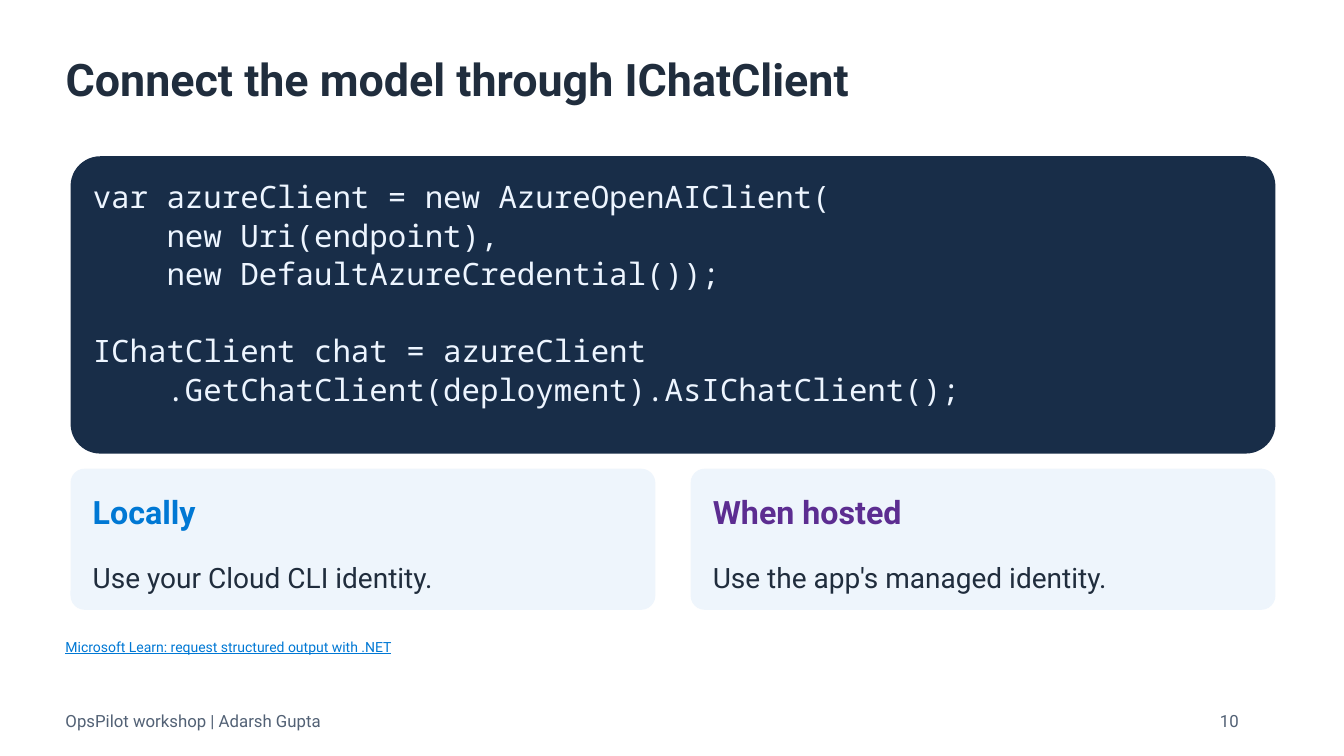
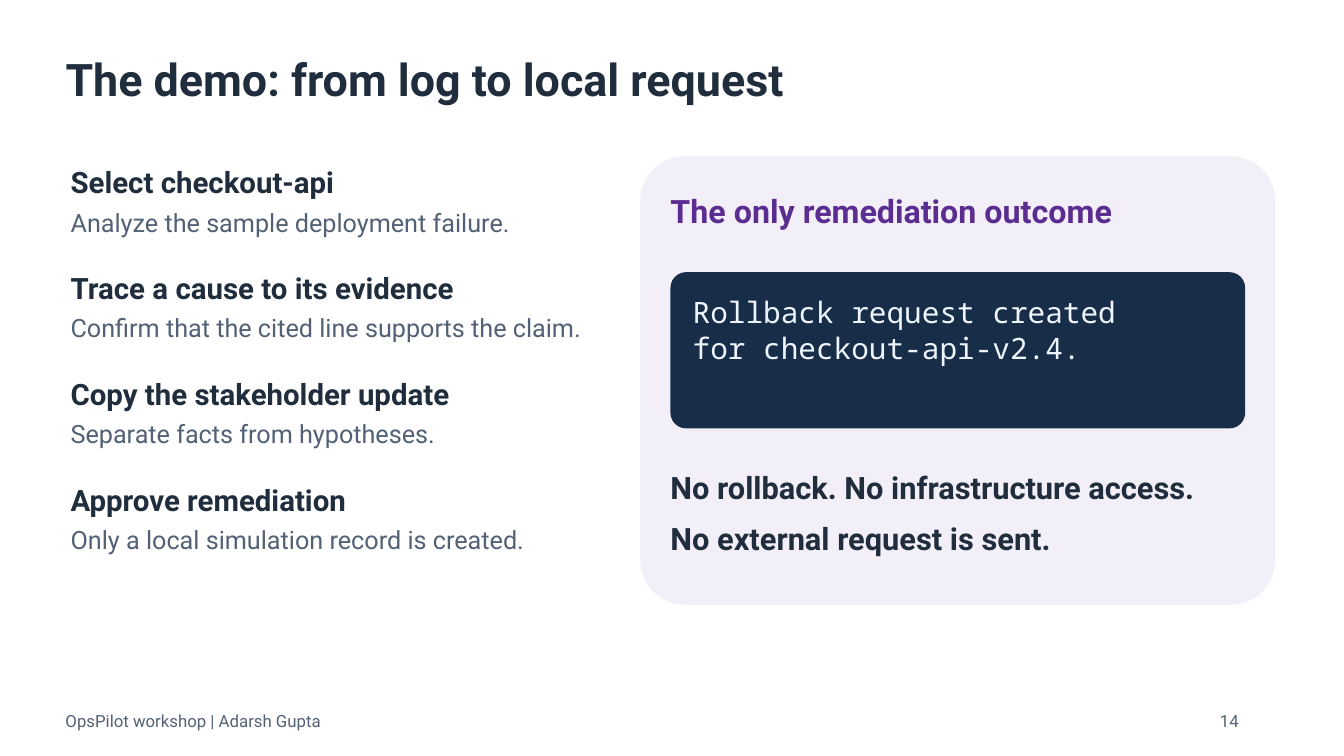
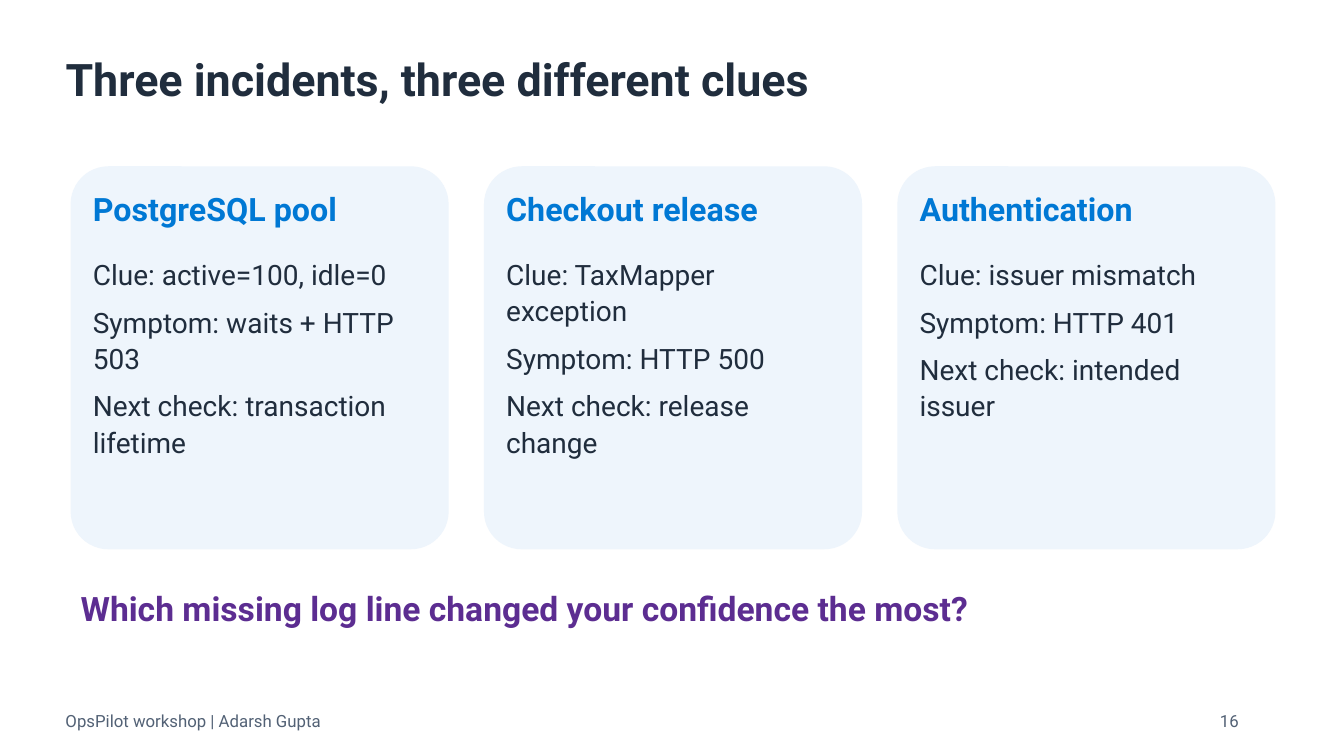
"""Build three workshop slides on model access, the demo flow and incident clues."""
from dataclasses import dataclass, replace

from pptx import Presentation
from pptx import util as u
from pptx.dml.color import RGBColor
from pptx.enum import shapes, text
from pptx.slide import Slide

INK = RGBColor(0x20, 0x2D, 0x3D)
MUTED = RGBColor(0x52, 0x61, 0x75)
BLUE = RGBColor(0x00, 0x78, 0xD4)
PURPLE = RGBColor(0x5C, 0x2D, 0x91)
NAVY = RGBColor(0x18, 0x2D, 0x48)
CODE_TEXT = RGBColor(0xED, 0xF5, 0xFF)
PALE_BLUE = RGBColor(0xEE, 0xF5, 0xFC)
PALE_PURPLE = RGBColor(0xF3, 0xEF, 0xF9)

SANS, MONO = "Roboto", "Noto Sans Mono"
SLIDE_WIDTH, SLIDE_HEIGHT = 13.33, 7.5
EDGE = 0.65
GRID_LEFT, GRID_WIDTH, GUTTER = 0.7, 11.95, 0.35
PAD_SIDE, PAD_TOP, PAD_BOTTOM = 0.22, 0.2, 0.15
HEADING_HEIGHT, BODY_OFFSET = 0.5, 0.88
CODE_LEADING = 1.25
FOOTER = "OpsPilot workshop | Adarsh Gupta"


@dataclass(frozen=True)
class Area:
    """A rectangle in inches."""
    left: float
    top: float
    width: float
    height: float

    def inset(self, side: float, top: float, bottom: float) -> "Area":
        """Return the area left inside the given padding."""
        return Area(self.left + side, self.top + top,
                    self.width - 2 * side, self.height - top - bottom)

    def emu(self) -> tuple[int, int, int, int]:
        """Return left, top, width and height as slide lengths."""
        return (u.Inches(self.left), u.Inches(self.top),
                u.Inches(self.width), u.Inches(self.height))


@dataclass(frozen=True)
class Style:
    """The look of a block of text."""
    size: float
    color: RGBColor = INK
    bold: bool = False
    underline: bool = False
    font: str = SANS


@dataclass(frozen=True)
class Card:
    """A headed card with lines of body text."""
    heading: str
    lines: tuple[str, ...]
    accent: RGBColor = BLUE


@dataclass(frozen=True)
class Step:
    """One step of the demo."""
    action: str
    detail: str


TITLE = Style(32, bold=True)
FOOTNOTE = Style(12, MUTED)
CARD_HEADING = Style(23, bold=True)
CARD_BODY = Style(20)
STEP_ACTION = Style(21, bold=True)
STEP_DETAIL = Style(18, MUTED)

IDENTITIES = (
    Card("Locally", ("Use your Cloud CLI identity.",)),
    Card("When hosted", ("Use the app's managed identity.",), PURPLE),
)
STEPS = (
    Step("Select checkout-api", "Analyze the sample deployment failure."),
    Step("Trace a cause to its evidence", "Confirm that the cited line supports the claim."),
    Step("Copy the stakeholder update", "Separate facts from hypotheses."),
    Step("Approve remediation", "Only a local simulation record is created."),
)
INCIDENTS = (
    Card("PostgreSQL pool", ("Clue: active=100, idle=0", "Symptom: waits + HTTP 503",
                             "Next check: transaction lifetime")),
    Card("Checkout release", ("Clue: TaxMapper exception", "Symptom: HTTP 500",
                              "Next check: release change")),
    Card("Authentication", ("Clue: issuer mismatch", "Symptom: HTTP 401",
                            "Next check: intended issuer")),
)
CLIENT_CODE = """\
var azureClient = new AzureOpenAIClient(
    new Uri(endpoint),
    new DefaultAzureCredential());

IChatClient chat = azureClient
    .GetChatClient(deployment).AsIChatClient();"""
ROLLBACK_OUTPUT = "Rollback request created\nfor checkout-api-v2.4."


def add_text(slide: Slide, area: Area, lines: tuple[str, ...], style: Style) -> list:
    """Write one paragraph per line and return the paragraphs."""
    frame = slide.shapes.add_textbox(*area.emu()).text_frame
    frame.margin_left = frame.margin_top = frame.margin_right = frame.margin_bottom = 0
    frame.word_wrap = True
    frame.auto_size = text.MSO_AUTO_SIZE.SHAPE_TO_FIT_TEXT
    frame.text = "\n".join(lines)
    for paragraph in frame.paragraphs:
        paragraph.line_spacing = 1.08
        paragraph.space_after = u.Pt(8)
        font = paragraph.font
        font.name, font.size, font.bold = style.font, u.Pt(style.size), style.bold
        font.underline = style.underline
        font.color.rgb = style.color
    return list(frame.paragraphs)


def add_panel(slide: Slide, area: Area, fill: RGBColor) -> None:
    """Draw a rounded panel without outline."""
    panel = slide.shapes.add_shape(shapes.MSO_SHAPE.ROUNDED_RECTANGLE, *area.emu())
    panel.adjustments[0] = 0.1
    panel.shadow.inherit = False
    panel.fill.solid()
    panel.fill.fore_color.rgb = fill
    panel.line.fill.background()


def add_code(slide: Slide, area: Area, code: str, size: float) -> None:
    """Draw a code panel, turning blank code lines into space between blocks."""
    add_panel(slide, area, NAVY)
    blocks = [block.split("\n") for block in code.split("\n\n")]
    lines = tuple(line for block in blocks for line in block)
    paragraphs = add_text(slide, area.inset(PAD_SIDE, PAD_TOP, PAD_BOTTOM), lines,
                          Style(size, CODE_TEXT, font=MONO))
    leading = u.Pt(size * CODE_LEADING)
    for paragraph in paragraphs:
        paragraph.line_spacing, paragraph.space_after = leading, u.Pt(0)
    start = 0
    for block in blocks[:-1]:
        start += len(block)
        paragraphs[start].space_before = leading


def add_cards(slide: Slide, top: float, height: float, cards: tuple[Card, ...]) -> None:
    """Draw cards in equal columns across the grid."""
    width = (GRID_WIDTH - GUTTER * (len(cards) - 1)) / len(cards)
    for column, card in enumerate(cards):
        area = Area(GRID_LEFT + column * (width + GUTTER), top, width, height)
        add_panel(slide, area, PALE_BLUE)
        heading = replace(area.inset(PAD_SIDE, PAD_TOP, 0), height=HEADING_HEIGHT)
        add_text(slide, heading, (card.heading,), replace(CARD_HEADING, color=card.accent))
        add_text(slide, area.inset(PAD_SIDE, BODY_OFFSET, PAD_BOTTOM), card.lines, CARD_BODY)


def add_slide(deck: Presentation, title: str, number: int) -> Slide:
    """Add a blank slide with title, footer and page number."""
    slide = deck.slides.add_slide(deck.slide_layouts[6])
    add_text(slide, Area(EDGE, 0.47, 12.02, 0.75), (title,), TITLE)
    add_text(slide, Area(EDGE, 7.04, 10, 0.3), (FOOTER,), FOOTNOTE)
    add_text(slide, Area(12.1, 7.04, 0.6, 0.3), (str(number),), FOOTNOTE)
    return slide


def build_client_slide(deck: Presentation) -> None:
    """Show the client code and the identities it uses."""
    slide = add_slide(deck, "Connect the model through IChatClient", 10)
    add_code(slide, Area(GRID_LEFT, 1.55, GRID_WIDTH, 2.95), CLIENT_CODE, 22)
    add_cards(slide, 4.65, 1.4, IDENTITIES)
    add_text(slide, Area(EDGE, 6.32, 12, 0.23),
             ("Microsoft Learn: request structured output with .NET",),
             Style(10, BLUE, underline=True))


def build_demo_slide(deck: Presentation) -> None:
    """Show the demo steps beside their only outcome."""
    slide = add_slide(deck, "The demo: from log to local request", 14)
    step_width, step_pitch = 5.15, 1.05
    for row, step in enumerate(STEPS):
        top = 1.6 + row * step_pitch
        add_text(slide, Area(GRID_LEFT, top, step_width, 0.38), (step.action,), STEP_ACTION)
        add_text(slide, Area(GRID_LEFT, top + 0.43, step_width, 0.6), (step.detail,), STEP_DETAIL)

    outcome = Area(6.35, 1.55, 6.3, 4.45)
    add_panel(slide, outcome, PALE_PURPLE)
    inner = outcome.inset(0.3, 0.32, 0)
    add_text(slide, replace(inner, height=HEADING_HEIGHT), ("The only remediation outcome",),
             replace(CARD_HEADING, color=PURPLE))
    add_code(slide, replace(inner, top=2.7, height=1.55), ROLLBACK_OUTPUT, 21)
    add_text(slide, replace(inner, top=4.62, height=0.85),
             ("No rollback. No infrastructure access.", "No external request is sent."),
             Style(22, bold=True))


def build_incident_slide(deck: Presentation) -> None:
    """Compare the clues of three incidents."""
    slide = add_slide(deck, "Three incidents, three different clues", 16)
    add_cards(slide, 1.65, 3.8, INCIDENTS)
    add_text(slide, Area(0.8, 5.8, 11.9, 0.45),
             ("Which missing log line changed your confidence the most?",),
             Style(24, PURPLE, bold=True))


def main() -> None:
    """Build and save the deck."""
    deck = Presentation()
    deck.slide_width, deck.slide_height = u.Inches(SLIDE_WIDTH), u.Inches(SLIDE_HEIGHT)
    build_client_slide(deck)
    build_demo_slide(deck)
    build_incident_slide(deck)
    deck.save("out.pptx")


if __name__ == "__main__":
    main()
